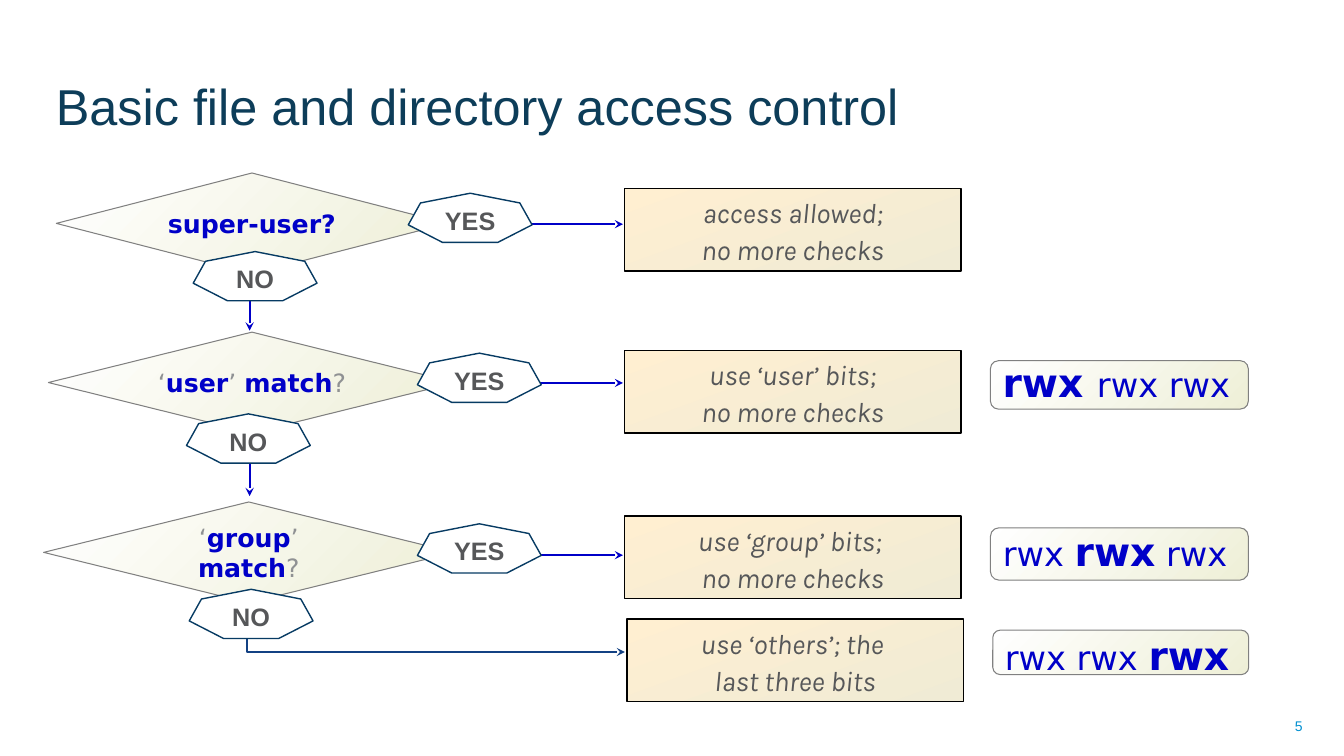
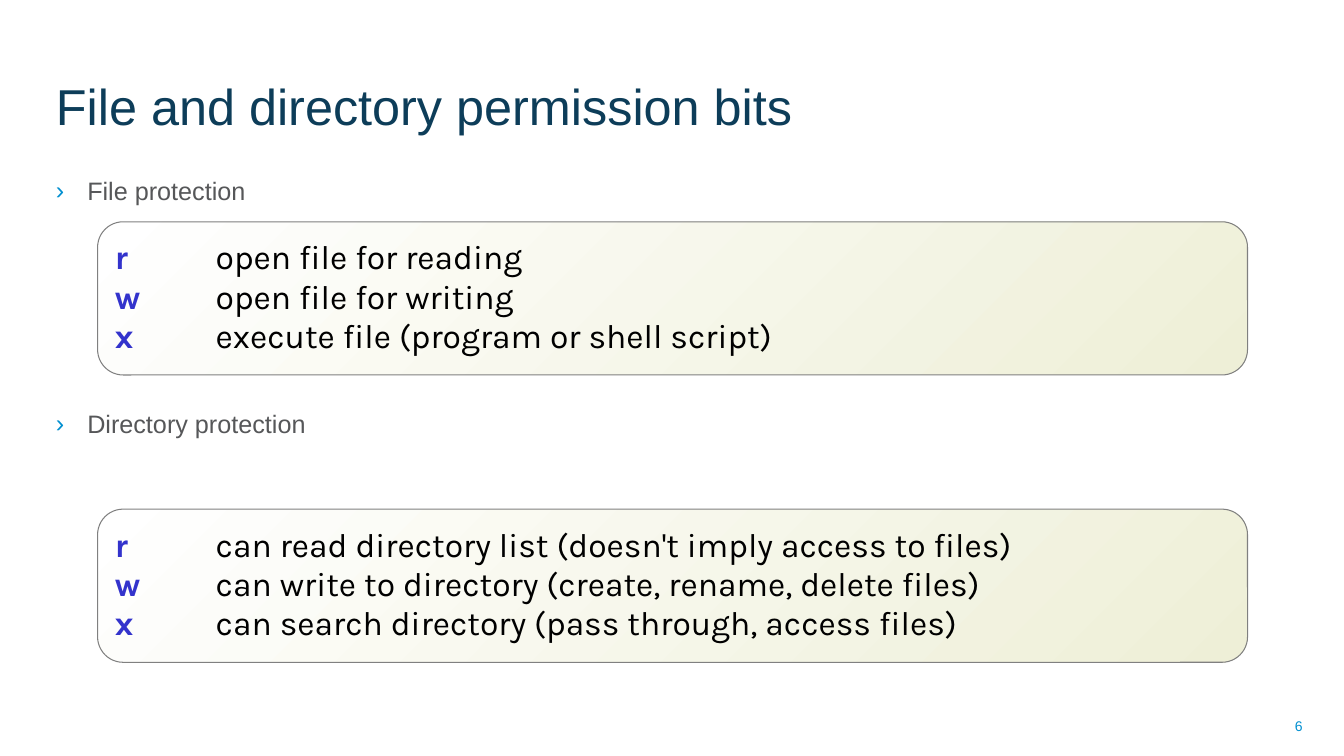
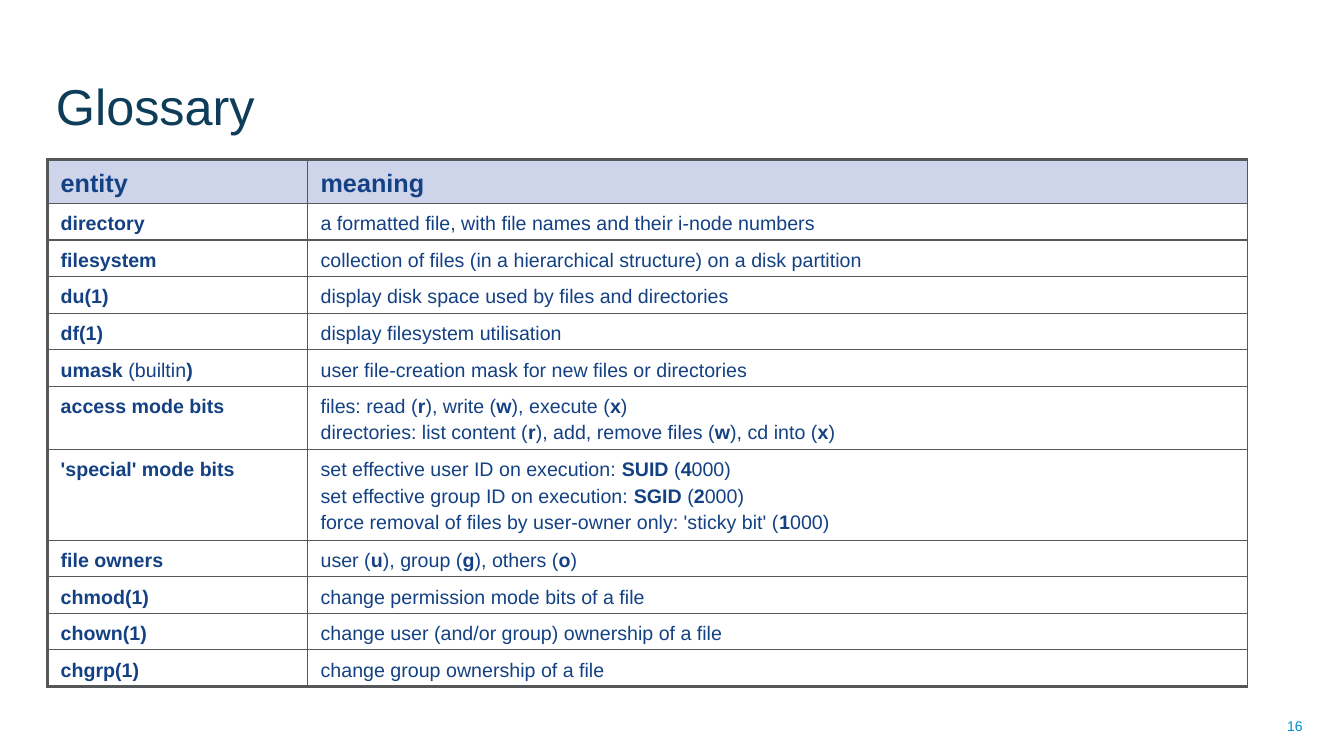
from pptx import Presentation
from pptx.dml.color import RGBColor
from pptx.enum.shapes import MSO_CONNECTOR, MSO_SHAPE
from pptx.enum.text import MSO_ANCHOR, PP_ALIGN
from pptx.oxml.ns import qn
from pptx.util import Cm, Pt
from lxml import etree

LEFT, CENTER, RIGHT = PP_ALIGN.LEFT, PP_ALIGN.CENTER, PP_ALIGN.RIGHT
TOP, MIDDLE, BOTTOM = MSO_ANCHOR.TOP, MSO_ANCHOR.MIDDLE, MSO_ANCHOR.BOTTOM
RECT, HEPTAGON = MSO_SHAPE.RECTANGLE, MSO_SHAPE.HEPTAGON
DECISION = MSO_SHAPE.FLOWCHART_DECISION
ROUNDED = MSO_SHAPE.FLOWCHART_ALTERNATE_PROCESS
STRAIGHT, ELBOW = MSO_CONNECTOR.STRAIGHT, MSO_CONNECTOR.ELBOW

COLORS = {
    "title": "0D3D59", "accent": "008FD0", "text": "565759", "quote": "8F9193",
    "blue": "0000C8", "key": "3333CC", "navy": "134183", "badge": "073B63",
    "sand": "FFEFD1", "sand_end": "F0EBD5", "white": "FFFFFF",
    "green_end": "EEEFD7", "grey": "808080", "black": "000000", "head": "CED5EA",
}
RGB = {name: RGBColor.from_string(value) for name, value in COLORS.items()}


def write(tf, text, size, color, font="Arial", bold_color=None, bold_size=None,
          italic=False, align=LEFT, spacing=None, gap=0):
    """One paragraph per line; *starred* parts are bold."""
    tf.word_wrap = True
    for n, line in enumerate(text.split("\n")):
        p = tf.add_paragraph() if n else tf.paragraphs[0]
        p.alignment = align
        if spacing:
            p.line_spacing = spacing
        if gap and n:
            p.space_before = Pt(gap)
        for i, part in enumerate(line.split("*")):
            if part:
                bold = i % 2 == 1
                r = p.add_run()
                r.text = part
                r.font.name, r.font.bold, r.font.italic = font, bold, italic
                r.font.size = Pt(bold_size if bold and bold_size else size)
                r.font.color.rgb = RGB[bold_color if bold and bold_color else color]


def add_box(slide, kind, at, fill, line, width, angle=315, anchor=MIDDLE):
    """Outlined shape, with a gradient when fill names two colours."""
    sp = slide.shapes.add_shape(kind, *[Cm(v) for v in at])
    sp.shadow.inherit = False
    if len(fill) == 2:
        sp.fill.gradient()
        sp.fill.gradient_angle = angle
        for stop, name in zip(sp.fill.gradient_stops, fill):
            stop.color.rgb = RGB[name]
    else:
        sp.fill.solid()
        sp.fill.fore_color.rgb = RGB[fill[0]]
    sp.line.color.rgb = RGB[line]
    sp.line.width = Pt(width)
    sp.text_frame.vertical_anchor = anchor
    return sp


prs = Presentation()
prs.slide_width, prs.slide_height = Cm(33.87), Cm(19.05)

# Shared title and page number
slides = []
for title, number in [("Basic file and directory access control", "5"),
                      ("File and directory permission bits", "6"),
                      ("Glossary", "16")]:
    s = prs.slides.add_slide(prs.slide_layouts[6])
    tf = s.shapes.add_textbox(Cm(25.18), Cm(17.78), Cm(7.9), Cm(1.02)).text_frame
    tf.vertical_anchor = MIDDLE
    write(tf, number, 10, "accent", align=RIGHT)
    tf = s.shapes.add_textbox(Cm(1.16), Cm(0.34), Cm(25.35), Cm(3.2)).text_frame
    tf.vertical_anchor = BOTTOM
    write(tf, title, 36, "title")
    slides.append(s)
flow, bits, glossary = slides
GREEN = ("white", "green_end")

# Flow: arrows
for kind, x1, y1, x2, y2, color in [
        (STRAIGHT, 6.29, 5.13, 6.29, 8.33, "blue"),
        (STRAIGHT, 6.29, 8.84, 6.29, 12.5, "blue"),
        (STRAIGHT, 11.15, 5.65, 15.7, 5.65, "blue"),
        (STRAIGHT, 11.13, 9.65, 15.7, 9.65, "blue"),
        (STRAIGHT, 13.36, 13.99, 15.7, 13.99, "blue"),
        (ELBOW, 6.38, 15.42, 15.75, 16.43, "navy")]:
    arrow = flow.shapes.add_connector(kind, Cm(x1), Cm(y1), Cm(x2), Cm(y2))
    arrow.line.color.rgb = RGB[color]
    arrow.line.width = Pt(1.5)
    etree.SubElement(arrow.line._get_or_add_ln(), qn("a:tailEnd"), type="stealth")
    spPr = arrow._element.spPr
    etree.SubElement(spPr, qn("a:effectLst"))
    if kind == ELBOW:
        geom = spPr.find(qn("a:prstGeom"))
        av = geom.find(qn("a:avLst"))
        if av is None:
            av = etree.SubElement(geom, qn("a:avLst"))
        etree.SubElement(av, qn("a:gd"), name="adj1", fmla="val -1600")

# Flow: outcomes
for x, y, text in [(15.74, 4.75, "access allowed;\nno more checks"),
                   (15.74, 8.83, "use ‘user’ bits;\nno more checks"),
                   (15.74, 13, "use ‘group’ bits; \nno more checks"),
                   (15.8, 15.6, "use ‘others’; the \nlast three bits")]:
    sp = add_box(flow, RECT, (x, y, 8.48, 2.08), ("sand", "sand_end"), "black", 1,
                 angle=290, anchor=TOP)
    sp.text_frame.margin_top = sp.text_frame.margin_bottom = Cm(0.1)
    write(sp.text_frame, text, 20, "text", "Karla", italic=True, align=CENTER,
          spacing=1.1)

# Flow: permission triplets
for x, y, w, h, bottom, text in [(24.96, 9.09, 6.5, 1.22, 0.3, "*rwx *rwx rwx"),
                                 (24.96, 13.3, 6.5, 1.32, 0.3, "rwx *rwx* rwx"),
                                 (25.02, 15.88, 6.45, 1.12, 0, "rwx rwx *rwx*")]:
    sp = add_box(flow, ROUNDED, (x, y, w, h), GREEN, "grey", 0.75)
    sp.text_frame.margin_bottom = Cm(bottom)
    write(sp.text_frame, text, 24, "blue", "DejaVu Sans", bold_size=28)

# Flow: decisions
for x, y, w, text in [(1.42, 4.36, 9.86, "*super-user?*"),
                      (1.22, 8.37, 10.26, "‘*user*’ *match*?"),
                      (1.1, 12.65, 10.34, "‘*group*’ *match*?")]:
    sp = add_box(flow, DECISION, (x, y, w, 2.54), GREEN, "grey", 0.75)
    tf = sp.text_frame
    tf.margin_left = tf.margin_right = tf.margin_top = tf.margin_bottom = 0
    write(tf, text, 18, "quote", "DejaVu Sans", bold_color="blue", align=CENTER)

# Flow: answers
for x, y, answer in [(10.29, 4.87, "YES"), (10.52, 8.9, "YES"), (10.52, 13.2, "YES"),
                     (4.87, 6.34, "NO"), (4.7, 10.43, "NO"), (4.77, 14.85, "NO")]:
    sp = add_box(flow, HEPTAGON, (x, y, 3.12, 1.24), ("white",), "badge", 1)
    sp.text_frame.margin_top = Cm(0.25)
    write(sp.text_frame, f"*{answer}*", 18, "text", align=CENTER)

# Permission bits: bulleted headings
tf = bits.shapes.add_textbox(Cm(1.16), Cm(4.29), Cm(31.67), Cm(12.62)).text_frame
write(tf, "File protection\nDirectory protection", 18, "text", gap=145)
for p in tf.paragraphs:
    pPr = p._p.get_or_add_pPr()
    pPr.set("marL", str(Cm(0.79)))
    pPr.set("indent", str(-Cm(0.79)))
    etree.SubElement(etree.SubElement(pPr, qn("a:buClr")), qn("a:srgbClr"),
                     val=COLORS["accent"])
    etree.SubElement(pPr, qn("a:buFont"), typeface="Arial")
    etree.SubElement(pPr, qn("a:buChar"), char="›")

# Permission bits: panels
for y, meanings in [(5.59, ["open file for reading", "open file for writing",
                            "execute file (program or shell script)"]),
                    (12.83, ["can read directory list (doesn't imply access to files)",
                             "can write to directory (create, rename, delete files)",
                             "can search directory (pass through, access files)"])]:
    sp = add_box(bits, ROUNDED, (2.46, y, 28.98, 3.86), GREEN, "grey", 0.75)
    text = "\n".join(f"*{bit}\t*{meaning}" for bit, meaning in zip("rwx", meanings))
    write(sp.text_frame, text, 24, "black", "Karla", bold_color="key",
          spacing=0.9, gap=2.2)
    for p in sp.text_frame.paragraphs:
        tabs = etree.SubElement(p._p.get_or_add_pPr(), qn("a:tabLst"))
        etree.SubElement(tabs, qn("a:tab"), pos=str(Cm(2.54)), algn="l")

# Glossary table
rows = [
    ("*entity*", "*meaning*"),
    ("*directory*", "a formatted file, with file names and their i-node numbers"),
    ("*filesystem*",
     "collection of files (in a hierarchical structure) on a disk partition"),
    ("*du(1)*", "display disk space used by files and directories"),
    ("*df(1)*", "display filesystem utilisation"),
    ("*umask* (builtin*)*", "user file-creation mask for new files or directories"),
    ("*access mode bits*",
     "files: read (*r*), write (*w*), execute (*x*)\n"
     "directories: list content (*r*), add, remove files (*w*), cd into (*x*)"),
    ("*'special' mode bits*",
     "set effective user ID on execution: *SUID* (*4*000)\n"
     "set effective group ID on execution: *SGID* (*2*000)\n"
     "force removal of files by user-owner only: 'sticky bit' (*1*000)"),
    ("*file owners*", "user (*u*), group (*g*), others (*o*)"),
    ("*chmod(1)*", "change permission mode bits of a file"),
    ("*chown(1)*", "change user (and/or group) ownership of a file"),
    ("*chgrp(1)*", "change group ownership of a file"),
]
HEIGHTS = {1: 0.92, 2: 1.59, 3: 2.26}
table = glossary.shapes.add_table(len(rows), 2, Cm(1.19), Cm(4.01), Cm(30.25),
                                  Cm(13.25)).table
table.first_row = table.horz_banding = False
table.columns[0].width, table.columns[1].width = Cm(6.55), Cm(23.7)
last = len(rows) - 1
for i, row in enumerate(rows):
    table.rows[i].height = Cm(HEIGHTS[row[1].count("\n") + 1] if i else 1.12)
    for j, text in enumerate(row):
        cell = table.cell(i, j)
        cell.margin_left = cell.margin_right = Cm(0.34)
        cell.margin_top, cell.margin_bottom = Cm(0.13), Cm(0.03)
        tcPr = cell._tc.get_or_add_tcPr()
        for side, thick in [("L", j == 0), ("R", False), ("T", i == 0), ("B", i == last)]:
            ln = etree.SubElement(tcPr, qn("a:ln" + side),
                                  w=str(Pt(2.21 if thick else 0.96)))
            etree.SubElement(etree.SubElement(ln, qn("a:solidFill")), qn("a:srgbClr"),
                             val=COLORS["text"])
        cell.fill.solid()
        cell.fill.fore_color.rgb = RGB["white" if i else "head"]
        write(cell.text_frame, text, 14 if i else 18, "navy", spacing=1.2)

prs.save("out.pptx")
